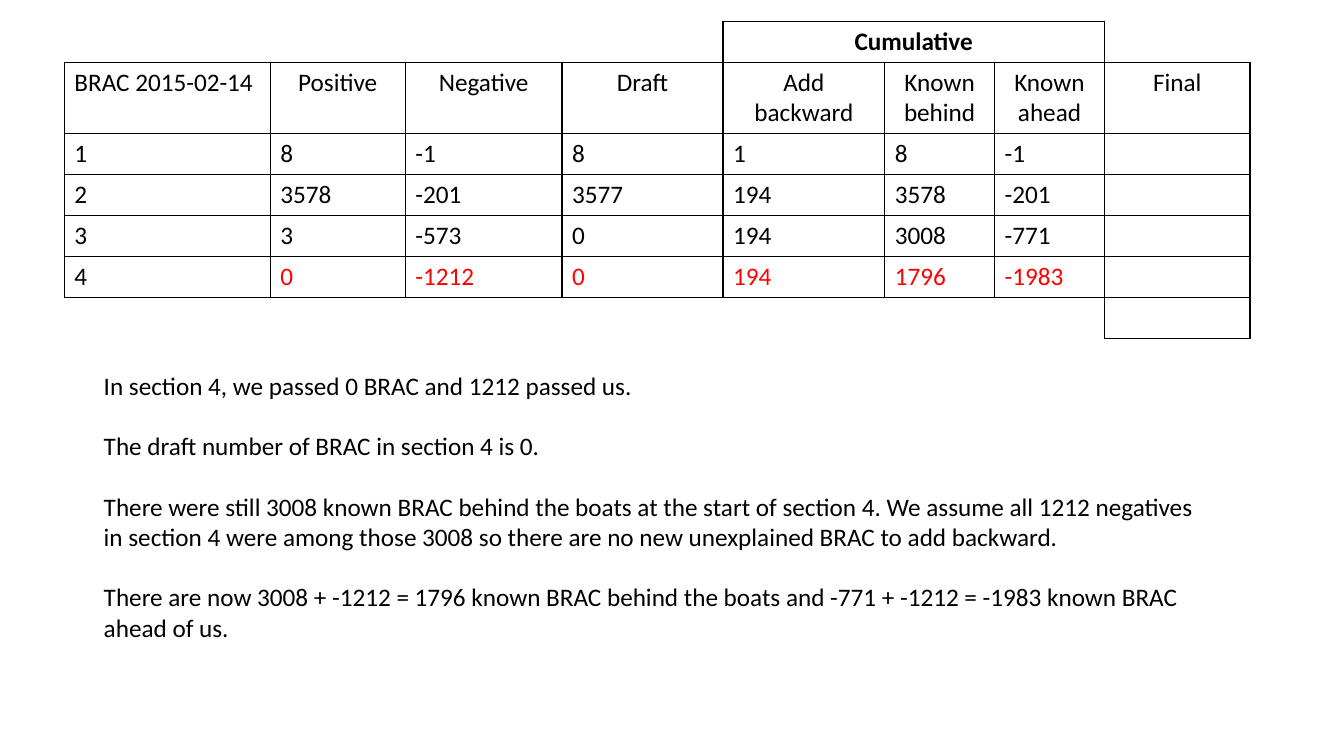
from dataclasses import dataclass

from lxml import etree
from pptx import Presentation
from pptx.dml.color import RGBColor
from pptx.enum import text
from pptx.oxml import ns
from pptx.util import Pt


@dataclass(frozen=True)
class Theme:
    font: str = "Calibri"
    size: int = 18
    ink: str = "000000"
    accent: str = "FF0000"
    border: float = 1


THEME = Theme()
BLANK_LAYOUT = 6
COLUMN_WIDTHS = [147, 96.5, 112, 115, 115.5, 78.5, 78.5, 104]
ROW_HEIGHT = 29.2
HEADER_HEIGHT = 51.2
GROUP_ROW, HEADER_ROW, RESULT_ROW, TOTAL_ROW = 0, 1, 5, 6
GROUP_FIRST, GROUP_LAST, FINAL_COLUMN = 4, 6, 7
ROWS = [
    ["", "", "", "", "Cumulative", "", "", ""],
    ["BRAC 2015-02-14", "Positive", "Negative", "Draft",
     "Add backward", "Known behind", "Known ahead", "Final"],
    ["1", "8", "-1", "8", "1", "8", "-1", ""],
    ["2", "3578", "-201", "3577", "194", "3578", "-201", ""],
    ["3", "3", "-573", "0", "194", "3008", "-771", ""],
    ["4", "0", "-1212", "0", "194", "1796", "-1983", ""],
    ["", "", "", "", "", "", "", ""],
]
EXPLANATION = [
    "In section 4, we passed 0 BRAC and 1212 passed us.",
    "The draft number of BRAC in section 4 is 0.",
    "There were still 3008 known BRAC behind the boats at the start of section 4. "
    "We assume all 1212 negatives in section 4 were among those 3008 so there are "
    "no new unexplained BRAC to add backward.",
    "There are now 3008 + -1212 = 1796 known BRAC behind the boats and "
    "-771 + -1212 = -1983 known BRAC ahead of us.",
]


def style_paragraph(para, color=THEME.ink, bold=False):
    para.font.name = THEME.font
    para.font.size = Pt(THEME.size)
    para.font.bold = bold
    para.font.color.rgb = RGBColor.from_string(color)


def is_framed(row, column):
    if row == GROUP_ROW:
        return GROUP_FIRST <= column <= GROUP_LAST
    if row == TOTAL_ROW:
        return column == FINAL_COLUMN
    return GROUP_ROW < row < TOTAL_ROW and 0 <= column <= FINAL_COLUMN


def draw_borders(cell, row, column):
    properties = cell._tc.get_or_add_tcPr()
    neighbours = {"lnL": (row, column - 1), "lnR": (row, column + 1),
                  "lnT": (row - 1, column), "lnB": (row + 1, column)}
    for side, neighbour in neighbours.items():
        line = etree.SubElement(properties, ns.qn(f"a:{side}"), w=str(Pt(THEME.border)))
        if is_framed(row, column) or is_framed(*neighbour):
            fill = etree.SubElement(line, ns.qn("a:solidFill"))
            etree.SubElement(fill, ns.qn("a:srgbClr"), val=THEME.ink)
        else:
            etree.SubElement(line, ns.qn("a:noFill"))


def fill_cell(cell, row, column):
    draw_borders(cell, row, column)
    cell.fill.background()
    para = cell.text_frame.paragraphs[0]
    para.text = ROWS[row][column]
    is_result = row == RESULT_ROW and column > 0
    style_paragraph(para, THEME.accent if is_result else THEME.ink, row == GROUP_ROW)
    if row == GROUP_ROW or (row == HEADER_ROW and column > 0):
        para.alignment = text.PP_ALIGN.CENTER


def add_count_table(page):
    height = HEADER_HEIGHT + ROW_HEIGHT * (len(ROWS) - 1)
    table = page.shapes.add_table(
        len(ROWS), len(COLUMN_WIDTHS), Pt(46), Pt(15.2),
        Pt(sum(COLUMN_WIDTHS)), Pt(height)).table
    table.first_row = False
    table.horz_banding = False
    for column, width in zip(table.columns, COLUMN_WIDTHS):
        column.width = Pt(width)
    for index, row in enumerate(table.rows):
        row.height = Pt(HEADER_HEIGHT if index == HEADER_ROW else ROW_HEIGHT)
    for row in range(len(ROWS)):
        for column in range(len(COLUMN_WIDTHS)):
            fill_cell(table.cell(row, column), row, column)
    table.cell(GROUP_ROW, GROUP_FIRST).merge(table.cell(GROUP_ROW, GROUP_LAST))


def add_explanation(page):
    box = page.shapes.add_textbox(Pt(67), Pt(260.8), Pt(809.5), Pt(204))
    frame = box.text_frame
    frame.word_wrap = True
    for index, sentence in enumerate(EXPLANATION):
        para = frame.add_paragraph() if index else frame.paragraphs[0]
        para.text = sentence
        style_paragraph(para)
        if index:
            para.space_before = Pt(21.6)


def main():
    deck = Presentation()
    deck.slide_width, deck.slide_height = Pt(960), Pt(540)
    page = deck.slides.add_slide(deck.slide_layouts[BLANK_LAYOUT])
    add_count_table(page)
    add_explanation(page)
    deck.save("out.pptx")


if __name__ == "__main__":
    main()
